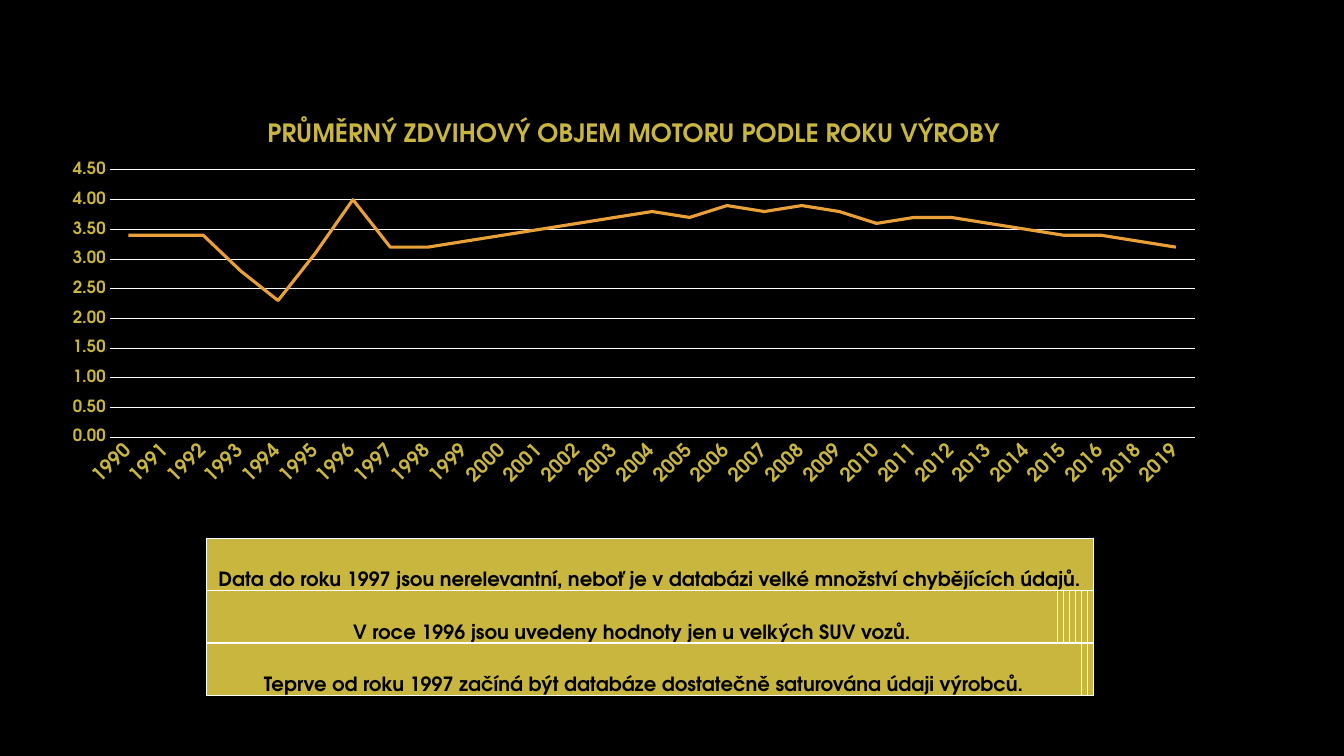
from lxml.etree import SubElement
from pptx import Presentation
from pptx.chart.data import CategoryChartData
from pptx.dml.color import RGBColor
from pptx.enum.chart import XL_CHART_TYPE, XL_TICK_MARK
from pptx.enum.text import MSO_ANCHOR, PP_ALIGN
from pptx.oxml.ns import qn
from pptx.util import Inches, Pt

BLACK = RGBColor(0x00, 0x00, 0x00)
WHITE = RGBColor(0xFF, 0xFF, 0xFF)
GOLD = RGBColor(0xC9, 0xB6, 0x3F)
ORANGE = RGBColor(0xE9, 0xA0, 0x39)
FONT = "TeX Gyre Adventor"

TITLE = "PRŮMĚRNÝ ZDVIHOVÝ OBJEM MOTORU PODLE ROKU VÝROBY"
YEARS = [str(year) for year in range(1990, 2020) if year != 2017]
VOLUMES = [3.4, 3.4, 3.4, 2.8, 2.3, 3.1, 4, 3.2, 3.2, 3.3, 3.4, 3.5, 3.6, 3.7, 3.8,
           3.7, 3.9, 3.8, 3.9, 3.8, 3.6, 3.7, 3.7, 3.6, 3.5, 3.4, 3.4, 3.3, 3.2]
NOTES = [
    ("Data do roku 1997 jsou nerelevantní, neboť je v databázi velké množství chybějících údajů.", 7),
    ("V roce 1996 jsou uvedeny hodnoty jen u velkých SUV vozů.", 1),
    ("Teprve od roku 1997 začíná být databáze dostatečně saturována údaji výrobců.", 5),
]
COLUMN_WIDTHS = [8.44] + [0.04] * 6
ROW_HEIGHT = 0.52
CELL_FORMAT = {
    "margin_left": Inches(0.01),
    "margin_right": Inches(0.01),
    "margin_top": Inches(0.01),
    "margin_bottom": 0,
    "vertical_anchor": MSO_ANCHOR.BOTTOM,
}


def set_font(font, size, color, bold=True):
    """Apply the slide's typeface with a size, colour and weight."""
    for name, value in {"name": FONT, "size": Pt(size), "bold": bold}.items():
        setattr(font, name, value)
    font.color.rgb = color


def set_line(line, color, width):
    """Give a line a solid colour and a width in points."""
    line.color.rgb = color
    line.width = Pt(width)


def style_axis(axis, size):
    """Format the labels of an axis and remove its tick marks."""
    axis.major_tick_mark = axis.minor_tick_mark = XL_TICK_MARK.NONE
    set_font(axis.tick_labels.font, size, GOLD)


def add_volume_chart(page):
    """Add the line chart of average engine volume by year."""
    data = CategoryChartData(number_format="0.00")
    data.categories = YEARS
    data.add_series("Series 1", VOLUMES)
    chart = page.shapes.add_chart(
        XL_CHART_TYPE.LINE, Inches(0.49), Inches(1.02), Inches(11.59), Inches(3.88), data
    ).chart
    set_font(chart.font, 10, WHITE, False)
    chart.has_legend = False
    chart.has_title = True
    chart.chart_title.include_in_layout = False
    para = chart.chart_title.text_frame.paragraphs[0]
    span = para.add_run()
    span.text = TITLE
    set_font(span.font, 18, GOLD)

    years, volumes = chart.category_axis, chart.value_axis
    style_axis(years, 14)
    set_line(years.format.line, WHITE, 0.75)
    years.tick_labels.font
    labels = years._element.find(qn("c:txPr"))
    labels.find(qn("a:bodyPr")).set("rot", "-2700000")

    style_axis(volumes, 12)
    volumes.minimum_scale, volumes.maximum_scale, volumes.major_unit = 0, 4.5, 0.5
    volumes.tick_labels.number_format = "0.00"
    volumes.tick_labels.number_format_is_linked = False
    volumes.format.line.fill.background()
    set_line(volumes.major_gridlines.format.line, WHITE, 0.75)

    chart.plots[0].vary_by_categories = False
    series = chart.plots[0].series[0]
    series.smooth = False
    set_line(series.format.line, ORANGE, 2.25)


def add_borders(cell):
    """Draw a thin white border on all four sides of a cell."""
    properties = cell._tc.get_or_add_tcPr()
    for index, side in enumerate(("lnL", "lnR", "lnT", "lnB")):
        border = SubElement(properties, qn(f"a:{side}"), w=str(Pt(1)))
        fill = SubElement(border, qn("a:solidFill"))
        SubElement(fill, qn("a:srgbClr"), val=str(WHITE))
        properties.insert(index, border)


def style_cell(cell):
    """Fill, pad and border a cell of the notes table."""
    for name, value in CELL_FORMAT.items():
        setattr(cell, name, value)
    cell.fill.solid()
    cell.fill.fore_color.rgb = GOLD
    add_borders(cell)


def add_notes_table(page):
    """Add the table of remarks on the data."""
    table = page.shapes.add_table(
        len(NOTES), len(COLUMN_WIDTHS), Inches(2.05), Inches(5.34),
        Inches(sum(COLUMN_WIDTHS)), Inches(ROW_HEIGHT * len(NOTES))
    ).table
    for column, width in zip(table.columns, COLUMN_WIDTHS):
        column.width = Inches(width)
    for row in table.rows:
        row.height = Inches(ROW_HEIGHT)
        for cell in row.cells:
            style_cell(cell)
    for index, (text, columns) in enumerate(NOTES):
        cell = table.cell(index, 0)
        if columns > 1:
            cell.merge(table.cell(index, columns - 1))
        para = cell.text_frame.paragraphs[0]
        para.alignment = PP_ALIGN.CENTER
        span = para.add_run()
        span.text = text
        set_font(span.font, 14, BLACK)


def main():
    """Build the slide and save the deck."""
    deck = Presentation()
    deck.slide_width, deck.slide_height = Inches(13.33), Inches(7.5)
    page = deck.slides.add_slide(deck.slide_layouts[6])
    page.background.fill.solid()
    page.background.fill.fore_color.rgb = BLACK
    add_volume_chart(page)
    add_notes_table(page)
    deck.save("out.pptx")


if __name__ == "__main__":
    main()
